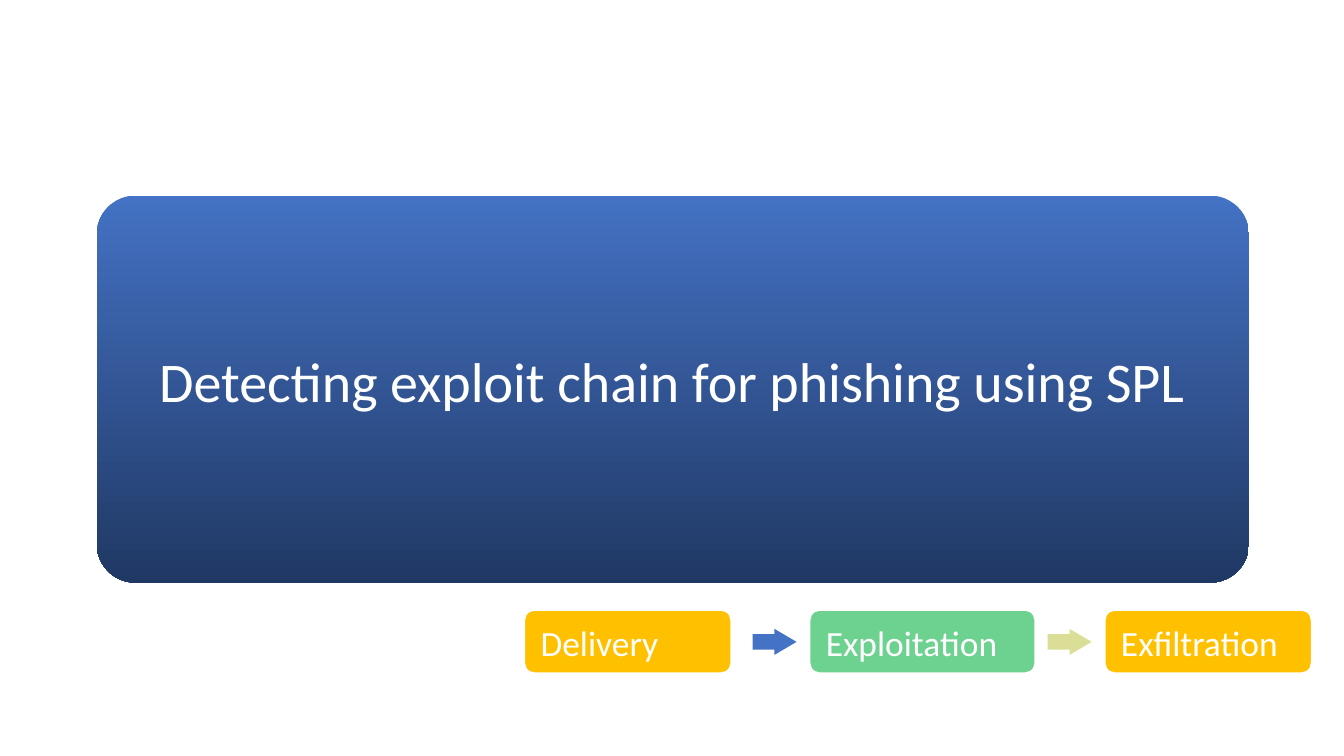
from typing import NamedTuple

from pptx import Presentation
from pptx import util as u
from pptx.dml.color import RGBColor
from pptx.enum import shapes, text

FONT = "Calibri"
WHITE, BLUE, NAVY = "FFFFFF", "4472C4", "203864"
AMBER, GREEN, LIME = "FFC000", "6DD18F", "DADE96"
STAGE_TOP, STAGE_HEIGHT = 435.8, 45
ARROW_TOP, ARROW_WIDTH, ARROW_HEIGHT = 449.2, 31.4, 18.6


class Stage(NamedTuple):
    label: str
    left: float
    width: float
    color: str


class Arrow(NamedTuple):
    left: float
    color: str


STAGES = [
    Stage("Delivery", 374.6, 147.6, AMBER),
    Stage("Exploitation", 578.4, 161, GREEN),
    Stage("Exfiltration", 789.2, 147.6, AMBER),
]
ARROWS = [Arrow(537.6, BLUE), Arrow(748.4, LIME)]


def rgb(value: str) -> RGBColor:
    return RGBColor.from_string(value)


def add_preset(slide, kind, left: float, top: float, width: float, height: float):
    """Add a preset shape without shadow or outline."""
    shape = slide.shapes.add_shape(kind, u.Pt(left), u.Pt(top), u.Pt(width), u.Pt(height))
    shape.shadow.inherit = False
    shape.line.fill.background()
    return shape


def write_line(frame, wording: str, size: float, alignment, anchor,
               side_inset: float, edge_inset: float) -> None:
    """Fill a text frame with one white paragraph."""
    frame.word_wrap = True
    frame.vertical_anchor = anchor
    frame.margin_left = frame.margin_right = u.Pt(side_inset)
    frame.margin_top = frame.margin_bottom = u.Pt(edge_inset)
    paragraph = frame.paragraphs[0]
    paragraph.text = wording
    paragraph.alignment = alignment
    paragraph.line_spacing = 0.9
    paragraph.font.name = FONT
    paragraph.font.size = u.Pt(size)
    paragraph.font.color.rgb = rgb(WHITE)


def add_title_panel(slide) -> None:
    panel = add_preset(slide, shapes.MSO_SHAPE.ROUNDED_RECTANGLE, 69.1, 139.7, 823, 276.5)
    panel.adjustments[0] = 0.1
    panel.fill.gradient()
    panel.fill.gradient_angle = 270
    for stop, color in zip(panel.fill.gradient_stops, (BLUE, NAVY)):
        stop.color.rgb = rgb(color)
    title = slide.shapes.add_textbox(u.Pt(67.7), u.Pt(185), u.Pt(824.4), u.Pt(179.3))
    write_line(title.text_frame, "Detecting exploit chain for phishing using SPL", 40,
               text.PP_ALIGN.CENTER, text.MSO_ANCHOR.MIDDLE, 32.4, 2.2)


def add_stage(slide, stage: Stage) -> None:
    shape = add_preset(slide, shapes.MSO_SHAPE.ROUNDED_RECTANGLE,
                       stage.left, STAGE_TOP, stage.width, STAGE_HEIGHT)
    shape.adjustments[0] = 0.16
    shape.fill.solid()
    shape.fill.fore_color.rgb = rgb(stage.color)
    shape.line.color.rgb = rgb(WHITE)
    shape.line.width = u.Pt(1)
    write_line(shape.text_frame, stage.label, 25.3,
               text.PP_ALIGN.LEFT, text.MSO_ANCHOR.TOP, 9.4, 9.4)


def add_arrow(slide, arrow: Arrow) -> None:
    shape = add_preset(slide, shapes.MSO_SHAPE.RIGHT_ARROW,
                       arrow.left, ARROW_TOP, ARROW_WIDTH, ARROW_HEIGHT)
    shape.adjustments[0] = 0.6
    shape.adjustments[1] = 0.85
    shape.fill.solid()
    shape.fill.fore_color.rgb = rgb(arrow.color)


def main() -> None:
    presentation = Presentation()
    presentation.slide_width, presentation.slide_height = u.Pt(960), u.Pt(540)
    slide = presentation.slides.add_slide(presentation.slide_layouts[6])
    add_title_panel(slide)
    for stage in STAGES:
        add_stage(slide, stage)
    for arrow in ARROWS:
        add_arrow(slide, arrow)
    presentation.save("out.pptx")


if __name__ == "__main__":
    main()
